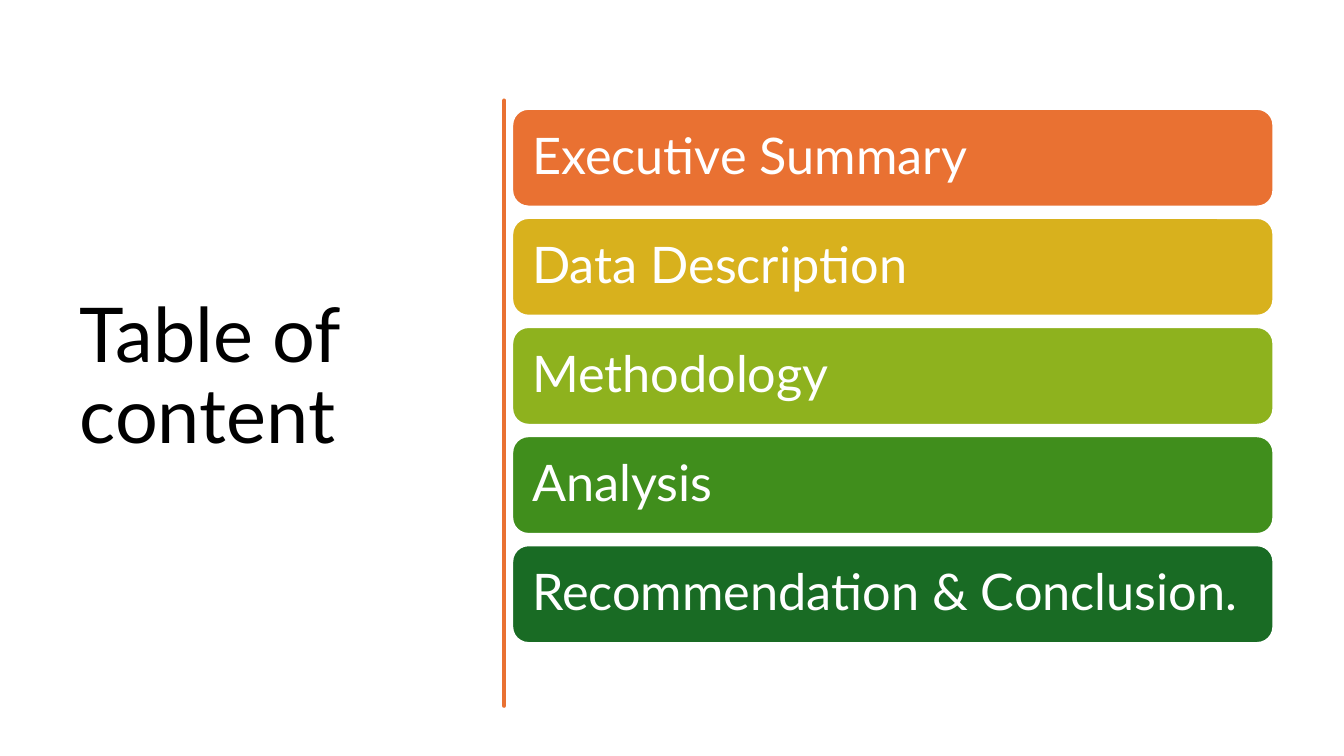
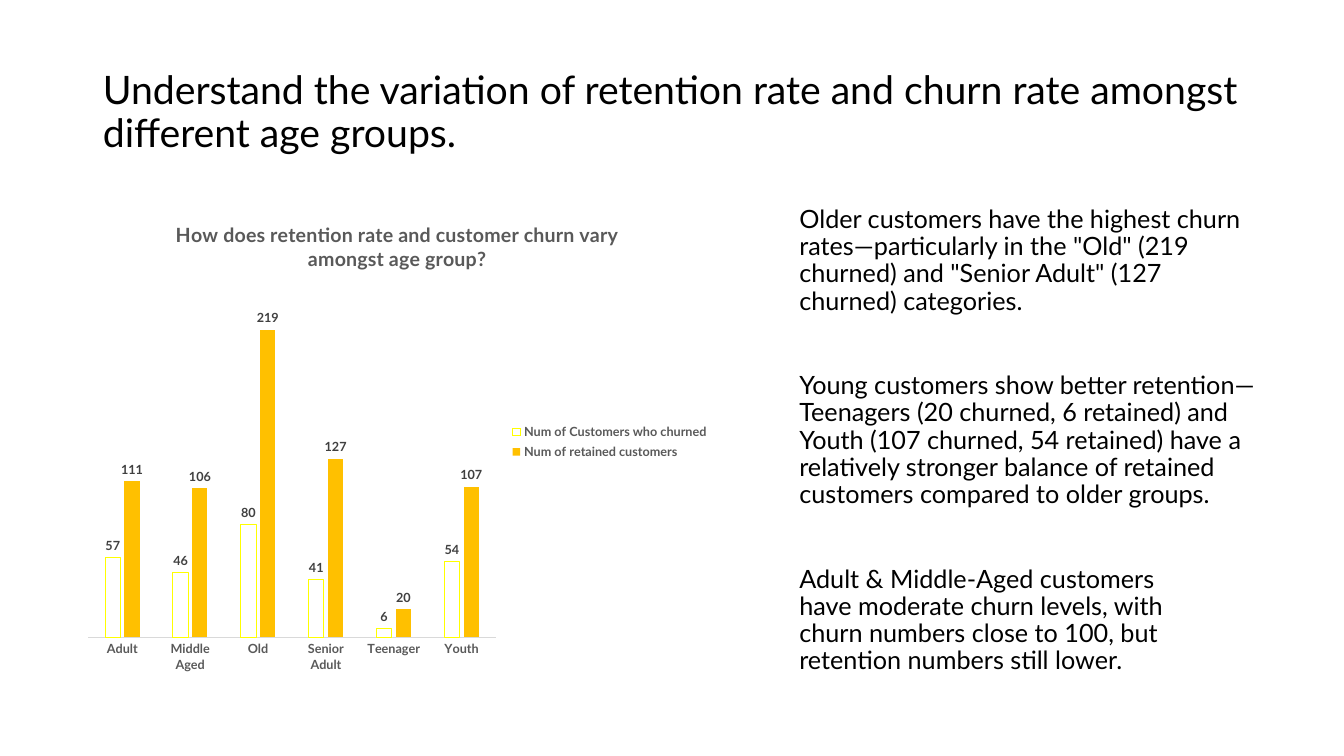
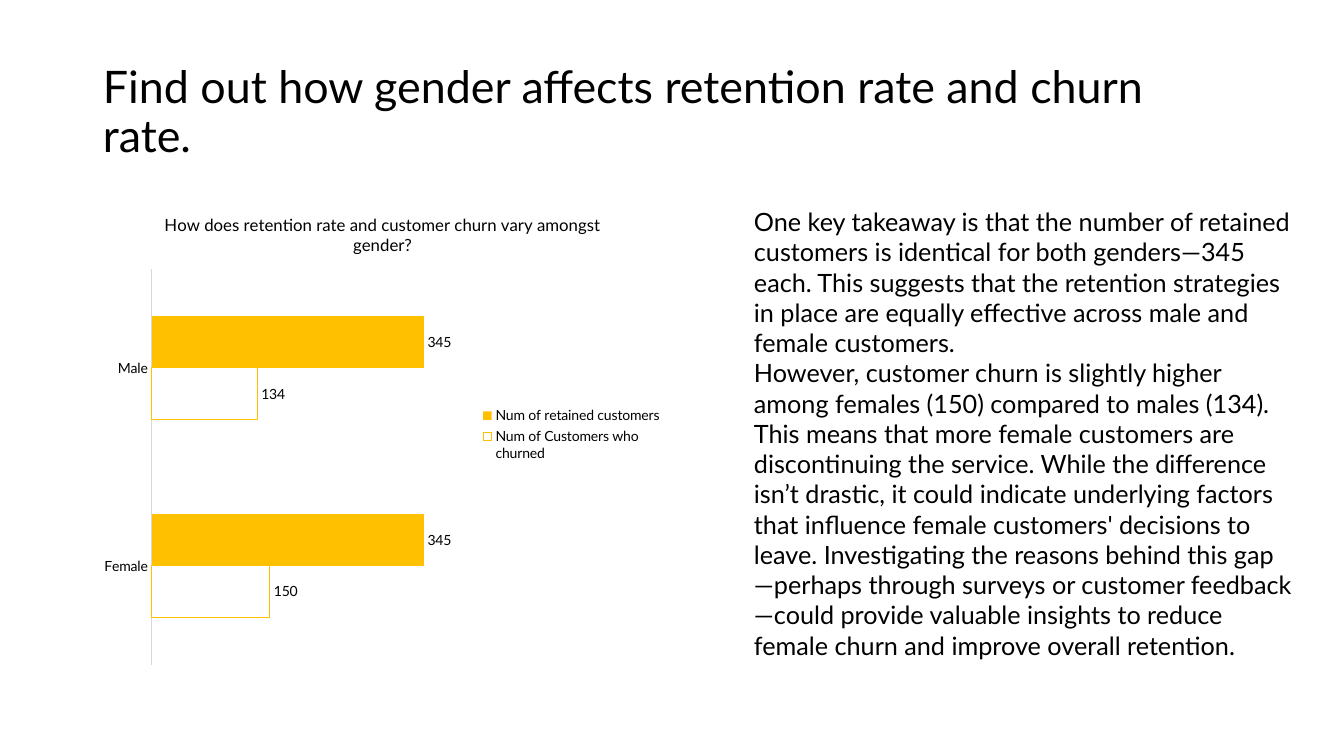
from pptx import Presentation
from pptx.chart.data import CategoryChartData
from pptx.dml.color import RGBColor
from pptx.enum.chart import XL_CHART_TYPE as ChartType, XL_LABEL_POSITION as LabelPosition
from pptx.enum.chart import XL_LEGEND_POSITION as LegendPosition, XL_TICK_MARK as TickMark
from pptx.enum.shapes import MSO_SHAPE as Preset
from pptx.enum.text import MSO_ANCHOR as Anchor, MSO_AUTO_SIZE as AutoSize, PP_ALIGN as Align
from pptx.util import Inches, Pt

FONT = "Lato"
BLACK, WHITE, GREY, DARK_GREY = "000000", "FFFFFF", "595959", "404040"
ORANGE, AMBER, YELLOW, AXIS_GREY = "E97132", "FFC000", "FFFF00", "D9D9D9"
CHURNED, RETAINED = "Num of Customers who churned", "Num of retained customers"


def rgb(value):
    """Turn a hex string into a colour."""
    return RGBColor.from_string(value)


def box(left, top, width, height):
    """Turn four numbers into lengths."""
    return [Inches(value) for value in (left, top, width, height)]


class Deck:
    """Hold the presentation, its style and the current slide."""

    def __init__(self):
        """Start an empty widescreen presentation."""
        self.presentation = Presentation()
        self.presentation.slide_width = Inches(13.33)
        self.presentation.slide_height = Inches(7.5)
        self.slide = None

    def font(self, font, size, color, bold=False):
        """Apply the shared typeface with a size and colour."""
        font.name, font.size, font.bold = FONT, Pt(size), bold
        font.color.rgb = rgb(color)

    def fill_text(self, frame, paragraphs, size, color=BLACK, spacing=0.9):
        """Fill a text frame with left-aligned paragraphs."""
        frame.text = "\n".join(paragraphs)
        frame.word_wrap = True
        for paragraph in frame.paragraphs:
            paragraph.alignment = Align.LEFT
            paragraph.line_spacing = spacing
            for run in paragraph.runs:
                self.font(run.font, size, color)

    def new_slide(self, title, size, place=(0.92, 0.4, 11.5, 1.45)):
        """Add a slide and set its title."""
        self.slide = self.presentation.slides.add_slide(self.presentation.slide_layouts[5])
        shape = self.slide.shapes.title
        shape.left, shape.top, shape.width, shape.height = box(*place)
        frame = shape.text_frame
        self.fill_text(frame, [title], size)
        frame.auto_size = AutoSize.NONE
        frame.vertical_anchor = Anchor.MIDDLE

    def text(self, place, paragraphs, spacing=0.9):
        """Add a body text box."""
        frame = self.slide.shapes.add_textbox(*box(*place)).text_frame
        self.fill_text(frame, paragraphs, 18, spacing=spacing)
        frame.auto_size = AutoSize.SHAPE_TO_FIT_TEXT

    def paint(self, shape, fill, line, width):
        """Set fill and outline and drop the shadow."""
        shape.shadow.inherit = False
        shape.fill.solid()
        shape.fill.fore_color.rgb = rgb(fill)
        shape.line.color.rgb = rgb(line)
        shape.line.width = Pt(width)

    def bar(self, place, label, color):
        """Add a rounded bar with a label."""
        shape = self.slide.shapes.add_shape(Preset.ROUNDED_RECTANGLE, *box(*place))
        self.paint(shape, color, WHITE, 1.5)
        frame = shape.text_frame
        self.fill_text(frame, [label], 36, WHITE)
        frame.vertical_anchor = Anchor.MIDDLE
        frame.margin_left = frame.margin_right = Inches(0.15)
        frame.margin_top = frame.margin_bottom = Inches(0.15)

    def brush_line(self, points, color):
        """Add a hand-drawn line as a closed outline."""
        builder = self.slide.shapes.build_freeform(*points[0], scale=Inches(1))
        builder.add_line_segments(points[1:], close=True)
        self.paint(builder.convert_to_shape(), color, color, 3.25)

    def chart(self, kind, place, title, title_style, categories, series, outline,
              text_style, label_style, gap, overlap, maximum):
        """Add a clustered chart with an outlined and a solid series."""
        data = CategoryChartData()
        data.categories = categories
        for name, values in series:
            data.add_series(name, values)
        chart = self.slide.shapes.add_chart(kind, *box(*place), data).chart
        self.font(chart.font, 10, BLACK)

        chart.has_title = True
        chart.chart_title.include_in_layout = False
        frame = chart.chart_title.text_frame
        frame.text = title
        self.font(frame.paragraphs[0].runs[0].font, *title_style)

        chart.has_legend = True
        chart.legend.position = LegendPosition.RIGHT
        chart.legend.include_in_layout = False
        self.font(chart.legend.font, *text_style)

        axis = chart.category_axis
        axis.major_tick_mark = TickMark.NONE
        axis.format.line.color.rgb = rgb(AXIS_GREY)
        axis.format.line.width = Pt(0.75)
        self.font(axis.tick_labels.font, *text_style)
        chart.value_axis.visible = False
        chart.value_axis.has_major_gridlines = False
        chart.value_axis.minimum_scale = 0
        chart.value_axis.maximum_scale = maximum

        plot = chart.plots[0]
        plot.vary_by_categories = False
        plot.gap_width, plot.overlap = gap, overlap
        for item in plot.series:
            item.invert_if_negative = False
            labels = item.data_labels
            labels.show_value = True
            labels.position = LabelPosition.OUTSIDE_END
            self.font(labels.font, *label_style)
        hollow, solid = plot.series
        hollow.format.fill.background()
        hollow.format.line.color.rgb = rgb(outline)
        hollow.format.line.width = Pt(0.75)
        solid.format.fill.solid()
        solid.format.fill.fore_color.rgb = rgb(AMBER)
        solid.format.line.fill.background()


def contents_slide(deck):
    """Build the table of contents."""
    deck.new_slide("Table of content", 54, (0.69, 0.7, 3.74, 6.11))
    right_edge = [(4.75, 0.84), (4.76, 1.17), (4.75, 1.46), (4.74, 1.8), (4.75, 2.26),
                  (4.75, 2.94), (4.76, 3.3), (4.75, 3.56), (4.76, 4.05), (4.75, 4.36),
                  (4.73, 4.65), (4.75, 5.1), (4.76, 5.5), (4.75, 5.84), (4.75, 6.76)]
    left_edge = [(4.73, 6.76), (4.72, 6.4), (4.73, 6.13), (4.73, 5.57), (4.72, 5.2),
                 (4.73, 4.77), (4.72, 4.4), (4.73, 3.86), (4.72, 3.4), (4.73, 3),
                 (4.73, 2.38), (4.72, 1.75), (4.74, 1.25), (4.73, 0.84)]
    deck.brush_line(right_edge + left_edge, ORANGE)
    sections = [("Executive Summary", ORANGE), ("Data Description", "D8B11D"),
                ("Methodology", "8EB21E"), ("Analysis", "408E1C"),
                ("Recommendation & Conclusion.", "196B24")]
    first, last = 1.08, 5.41
    pitch = (last - first) / (len(sections) - 1)
    for index, (label, color) in enumerate(sections):
        deck.bar((5.08, first + index * pitch, 7.55, 0.97), label, color)


def age_slide(deck):
    """Build the slide on age groups."""
    deck.new_slide("Understand the variation of retention rate and churn rate amongst "
                   "different age groups.", 28)
    deck.chart(ChartType.COLUMN_CLUSTERED, (0.75, 2, 6.38, 4.77),
               "How does retention rate and customer churn vary amongst age group?",
               (14, GREY, True),
               ["Adult", "Middle Aged", "Old", "Senior Adult", "Teenager", "Youth"],
               [(CHURNED, (57, 46, 80, 41, 6, 54)), (RETAINED, (111, 106, 219, 127, 20, 107))],
               YELLOW, (9, GREY, True), (9, DARK_GREY, True), gap=219, overlap=-27, maximum=250)
    findings = [
        (2, 4.59, 1.19, "Older customers have the highest churn rates—particularly in the "
         "\"Old\" (219 churned) and \"Senior Adult\" (127 churned) categories."),
        (3.65, 5.03, 1.47, "Young customers show better retention—Teenagers (20 churned, "
         "6 retained) and Youth (107 churned, 54 retained) have a relatively stronger balance "
         "of retained customers compared to older groups."),
        (5.57, 4.27, 1.19, "Adult & Middle-Aged customers have moderate churn levels, with "
         "churn numbers close to 100, but retention numbers still lower."),
    ]
    for top, width, height, finding in findings:
        deck.text((7.83, top, width, height), [finding])


def gender_slide(deck):
    """Build the slide on gender."""
    deck.new_slide("Find out how gender affects retention rate and churn rate.", 32)
    deck.chart(ChartType.BAR_CLUSTERED, (0.92, 1.93, 5.75, 4.76),
               "How does retention rate and customer churn vary amongst gender?",
               (12, BLACK), ["Female", "Male"],
               [(CHURNED, (150, 134)), (RETAINED, (345, 345))],
               AMBER, (10, BLACK), (10, BLACK), gap=182, overlap=0, maximum=400)
    deck.text((7.38, 2, 5.54, 4.64), [
        "One key takeaway is that the number of retained customers is identical for both "
        "genders—345 each. This suggests that the retention strategies in place are equally "
        "effective across male and female customers.",
        "However, customer churn is slightly higher among females (150) compared to males "
        "(134). This means that more female customers are discontinuing the service. While the "
        "difference isn’t drastic, it could indicate underlying factors that influence female "
        "customers' decisions to leave. Investigating the reasons behind this gap—perhaps "
        "through surveys or customer feedback—could provide valuable insights to reduce female "
        "churn and improve overall retention.",
    ], spacing=1.0)


def main():
    """Build and save the presentation."""
    deck = Deck()
    contents_slide(deck)
    age_slide(deck)
    gender_slide(deck)
    deck.presentation.save("out.pptx")


if __name__ == "__main__":
    main()
